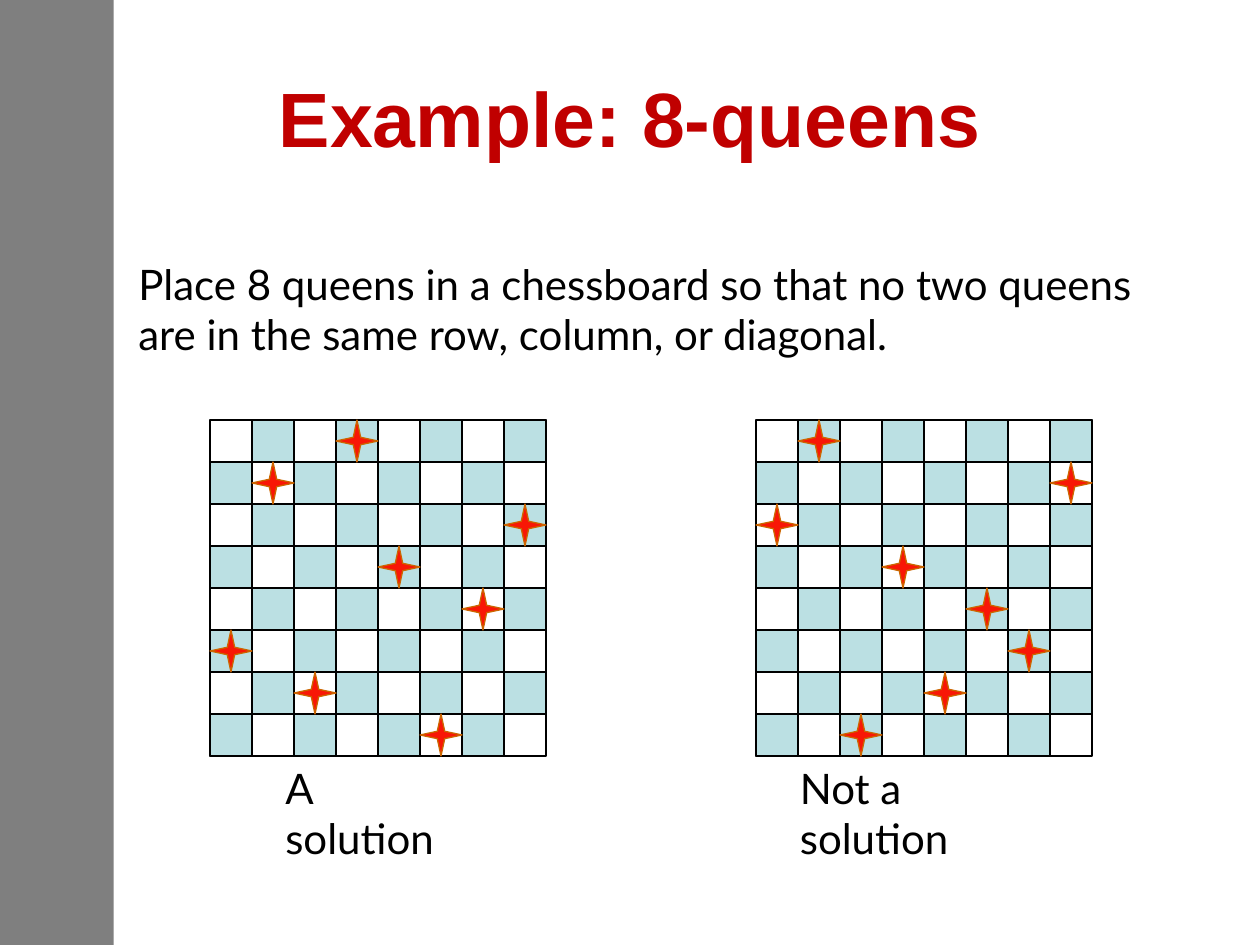
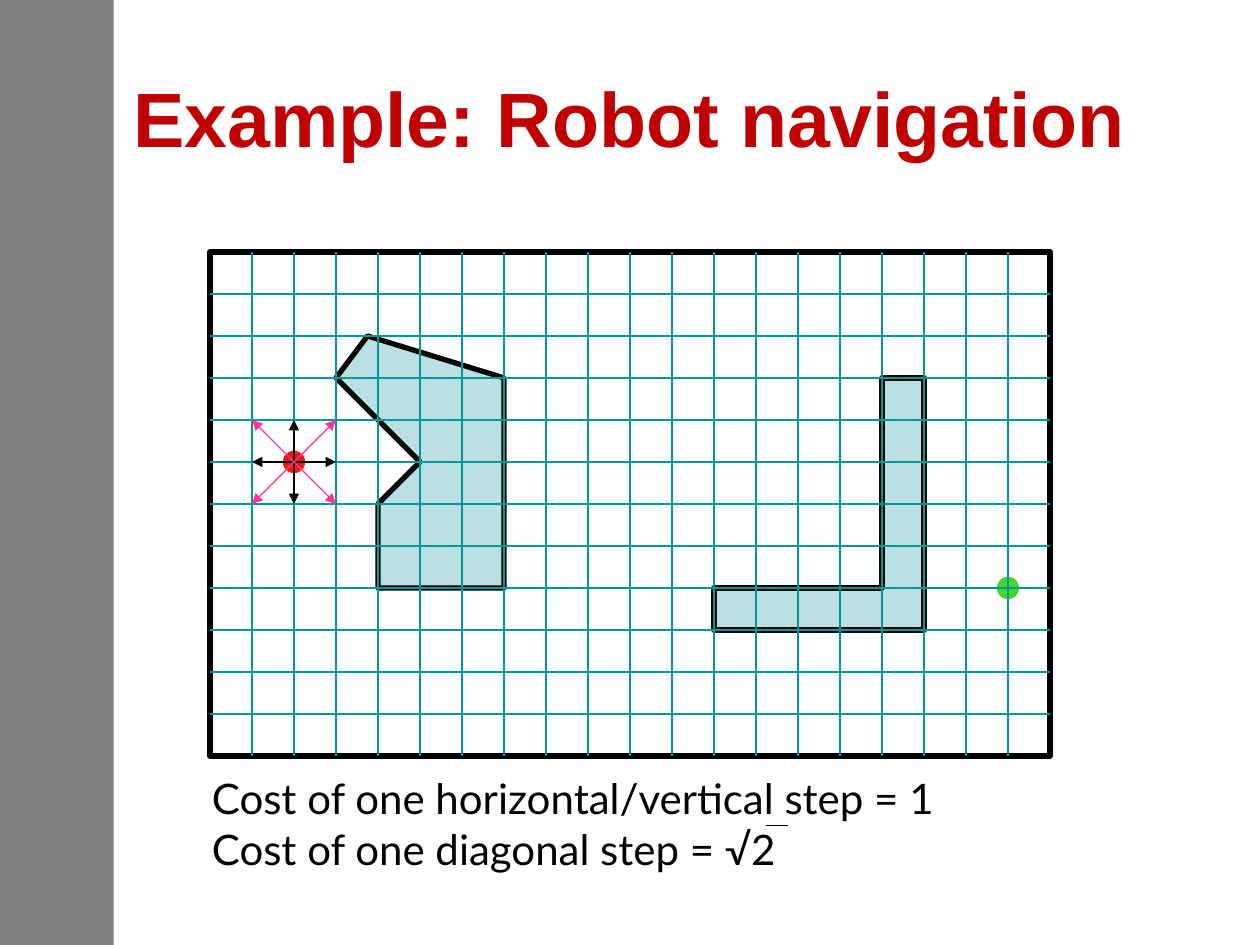
from dataclasses import dataclass

from lxml.etree import SubElement
from pptx import Presentation
from pptx.dml.color import RGBColor
from pptx.enum.shapes import MSO_CONNECTOR, MSO_SHAPE
from pptx.enum.text import MSO_ANCHOR, PP_ALIGN
from pptx.oxml.ns import qn
from pptx.util import Pt


@dataclass(frozen=True)
class Theme:
    black: str = "000000"
    band: str = "7F7F7F"
    title: str = "C00000"
    tint: str = "BBE0E3"
    red: str = "F81706"
    star_edge: str = "CC6600"
    green: str = "45D628"
    grid: str = "009999"
    pink: str = "FF3399"
    title_font: str = "Arial"
    body_font: str = "Lato"
    title_size: int = 44
    body_size: int = 24
    thin: float = 0.75
    thick: float = 3


T = Theme()
CELL = 24
LEFT = 120  # left edge of the first board and of the robot's grid


def add_text(s, text, x, y, w, h, font=T.body_font, size=T.body_size,
             color=T.black, bold=False, align=PP_ALIGN.LEFT, anchor=MSO_ANCHOR.TOP):
    """Add a wrapped text box, one paragraph for each line of text."""
    tf = s.shapes.add_textbox(Pt(x), Pt(y), Pt(w), Pt(h)).text_frame
    tf.word_wrap = True
    tf.vertical_anchor = anchor
    tf.text = text
    for p in tf.paragraphs:
        p.alignment = align
        for r in p.runs:
            r.font.name = font
            r.font.size = Pt(size)
            r.font.bold = bold
            r.font.color.rgb = RGBColor.from_string(color)


def style(sp, line, width=T.thin, fill=None, arrows=()):
    """Set line, optional fill and arrowheads of a shape or connector; drop its shadow."""
    sp.line.color.rgb = RGBColor.from_string(line)
    sp.line.width = Pt(width)
    if fill:
        sp.fill.solid()
        sp.fill.fore_color.rgb = RGBColor.from_string(fill)
    for end in arrows:
        SubElement(sp.line._get_or_add_ln(), qn(f"a:{end}"), type="triangle")
    SubElement(sp._element.spPr, qn("a:effectLst"))


prs = Presentation()
prs.slide_width, prs.slide_height = Pt(720), Pt(540)

# Side band and title on every slide
for title in ("Example: 8-queens", "Example: Robot navigation"):
    s = prs.slides.add_slide(prs.slide_layouts[6])
    band = s.shapes.add_shape(MSO_SHAPE.RECTANGLE, 0, 0, Pt(65), prs.slide_height)
    style(band, T.band, fill=T.band)
    band.line.fill.background()
    add_text(s, title, 36, 21.6, 648, 90, font=T.title_font, size=T.title_size,
             color=T.title, bold=True, align=PP_ALIGN.CENTER, anchor=MSO_ANCHOR.MIDDLE)
queens, robot = prs.slides

# Slide 1: two chessboards, with the queen's column listed for each row
add_text(queens, "Place 8 queens in a chessboard so that no two queens "
         "are in the same row, column, or diagonal.", 72, 144, 599, 65)
board_top = 240
boards = [
    (LEFT, (3, 1, 7, 4, 6, 0, 2, 5), "A solution", 156, 116),
    (432, (1, 7, 0, 3, 5, 6, 4, 2), "Not a solution", 450, 158),
]
for left, columns, caption, caption_left, caption_width in boards:
    shapes = queens.shapes.add_group_shape().shapes
    frame = shapes.add_shape(MSO_SHAPE.RECTANGLE, Pt(left), Pt(board_top),
                             Pt(8 * CELL), Pt(8 * CELL))
    frame.fill.background()
    style(frame, T.black)
    dark = [(row, col) for row in range(8) for col in range(8) if (row + col) % 2]
    for kind, places, fill, line in (
        (MSO_SHAPE.RECTANGLE, dark, T.tint, T.black),
        (MSO_SHAPE.STAR_4_POINT, enumerate(columns), T.red, T.star_edge),
    ):
        for row, col in places:
            sp = shapes.add_shape(kind, Pt(left + col * CELL), Pt(board_top + row * CELL),
                                  Pt(CELL), Pt(CELL))
            if kind == MSO_SHAPE.STAR_4_POINT:
                sp.adjustments[0] = 0.125
            style(sp, line, fill=fill)
    add_text(queens, caption, caption_left, 432, caption_width, 65)

# Slide 2: positions are in cells of the robot's grid
grid_top, cols, rows = 144, 20, 12
shapes = robot.shapes.add_group_shape().shapes
frame = shapes.add_shape(MSO_SHAPE.RECTANGLE, Pt(LEFT), Pt(grid_top),
                         Pt(cols * CELL), Pt(rows * CELL))
frame.fill.background()
style(frame, T.black, T.thick)

obstacles = [
    [(3, 3), (5, 5), (4, 6), (4, 8), (7, 8), (7, 3), (3.75, 2)],
    [(12, 8), (12, 9), (17, 9), (17, 3), (16, 3), (16, 8)],
]
for corners in obstacles:
    points = [(Pt(LEFT + x * CELL), Pt(grid_top + y * CELL)) for x, y in corners]
    outline = shapes.build_freeform(*points[0])
    outline.add_line_segments(points[1:], close=True)
    style(outline.convert_to_shape(), T.black, T.thick, T.tint)

dot = 12
for x, y, color in ((2, 5, T.red), (19, 8, T.green)):
    sp = shapes.add_shape(MSO_SHAPE.OVAL, Pt(LEFT + x * CELL - dot / 2),
                          Pt(grid_top + y * CELL - dot / 2), Pt(dot), Pt(dot))
    style(sp, color, fill=color)

both = ("headEnd", "tailEnd")
lines = [(0, y, cols, y, T.grid, ()) for y in range(1, rows)]
lines += [(x, 0, x, rows, T.grid, ()) for x in range(1, cols)]
lines += [
    (2, 5, 2, 4, T.black, both[1:]),
    (2, 5, 2, 6, T.black, both[1:]),
    (1, 5, 3, 5, T.black, both),
    (3, 4, 1, 6, T.pink, both),
    (1, 4, 3, 6, T.pink, both),
]
for x1, y1, x2, y2, color, arrows in lines:
    step = shapes.add_connector(
        MSO_CONNECTOR.STRAIGHT, Pt(LEFT + x1 * CELL), Pt(grid_top + y1 * CELL),
        Pt(LEFT + x2 * CELL), Pt(grid_top + y2 * CELL))
    style(step, color, arrows=arrows)

add_text(robot, "Cost of one horizontal/vertical step = 1\n"
         "Cost of one diagonal step = √2", 114, 438, 429, 65)
root_bar = robot.shapes.add_connector(MSO_CONNECTOR.STRAIGHT, Pt(438), Pt(471.6),
                                      Pt(450), Pt(471.6))
style(root_bar, T.black)

prs.save("out.pptx")
